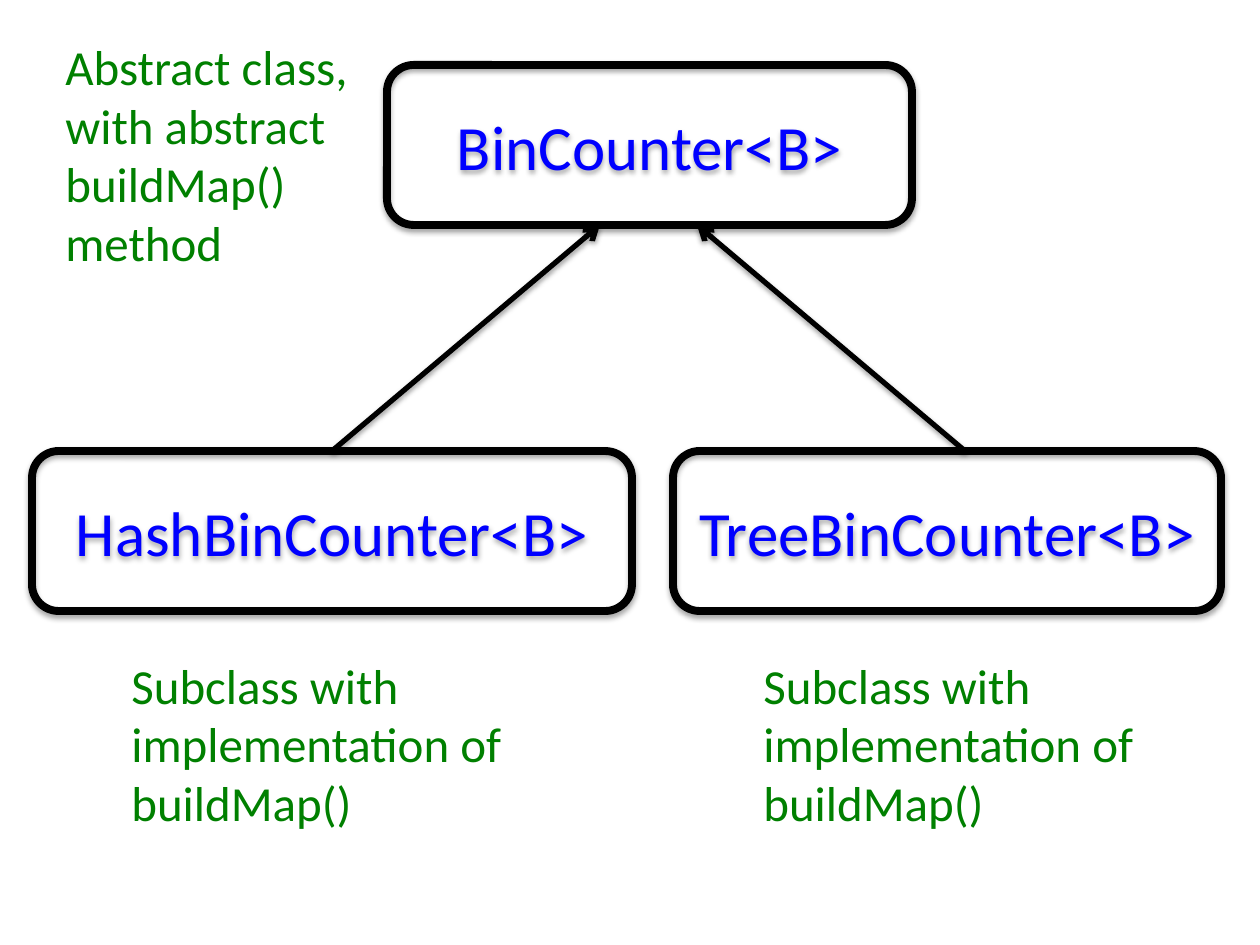
"""Build a class diagram slide for BinCounter and its two subclasses."""
from lxml.etree import SubElement
from pptx import Presentation
from pptx.dml.color import RGBColor
from pptx.enum.shapes import MSO_CONNECTOR, MSO_SHAPE
from pptx.enum.text import MSO_ANCHOR, PP_ALIGN
from pptx.oxml.ns import qn
from pptx.util import Pt

PX = 914400 / 126
BLACK, BLUE, GREEN = (RGBColor.from_string(color) for color in ("000000", "0000FF", "008000"))


def px(*lengths):
    return [round(length * PX) for length in lengths]


def add_shadow(properties, distance, opacity):
    effects = properties.find(qn("a:effectLst"))
    if effects is None:
        effects = SubElement(properties, qn("a:effectLst"))
    shadow = SubElement(effects, qn("a:outerShdw"), blurRad="40000", dist=str(distance),
                        dir="5400000", rotWithShape="0")
    color = SubElement(shadow, qn("a:srgbClr"), val="000000")
    SubElement(color, qn("a:alpha"), val=str(opacity * 1000))


presentation = Presentation()
presentation.slide_width, presentation.slide_height = px(1260, 945)
slide = presentation.slides.add_slide(presentation.slide_layouts[6])

classes = [
    ("BinCounter<B>", 387, 65, 525),
    ("HashBinCounter<B>", 32, 451, 600),
    ("TreeBinCounter<B>", 673, 451, 548),
]
for name, left, top, width in classes:
    shape = slide.shapes.add_shape(MSO_SHAPE.ROUNDED_RECTANGLE, *px(left, top, width, 160))
    shape.fill.background()
    shape.line.color.rgb = BLACK
    shape.line.width = Pt(4.5)
    shape.shadow.inherit = False
    add_shadow(shape._element.spPr, 23000, 35)
    shape.text_frame.text = name
    shape.text_frame.vertical_anchor = MSO_ANCHOR.MIDDLE
    paragraph = shape.text_frame.paragraphs[0]
    paragraph.alignment = PP_ALIGN.CENTER
    font = paragraph.runs[0].font
    font.name, font.size, font.color.rgb = "Calibri", Pt(36), BLUE

for parent_x, child_x in [(600, 332), (697, 965)]:
    connector = slide.shapes.add_connector(
        MSO_CONNECTOR.STRAIGHT, *px(parent_x, 225, child_x, 451))
    connector.line.color.rgb = BLACK
    connector.line.width = Pt(3)
    SubElement(connector.line._get_or_add_ln(), qn("a:headEnd"), type="arrow")
    add_shadow(connector._element.spPr, 20000, 38)

subclass_note = "Subclass with implementation of\nbuildMap()"
notes = [
    ("Abstract class,\nwith abstract\nbuildMap()\nmethod", 53, 30, 314, 251),
    (subclass_note, 119, 649, 427, 190),
    (subclass_note, 751, 649, 427, 190),
]
for text, left, top, width, height in notes:
    text_box = slide.shapes.add_textbox(*px(left, top, width, height))
    text_box.text_frame.word_wrap = True
    text_box.text_frame.text = text
    for paragraph in text_box.text_frame.paragraphs:
        font = paragraph.runs[0].font
        font.name, font.size, font.color.rgb = "Calibri", Pt(28), GREEN

presentation.save("out.pptx")
